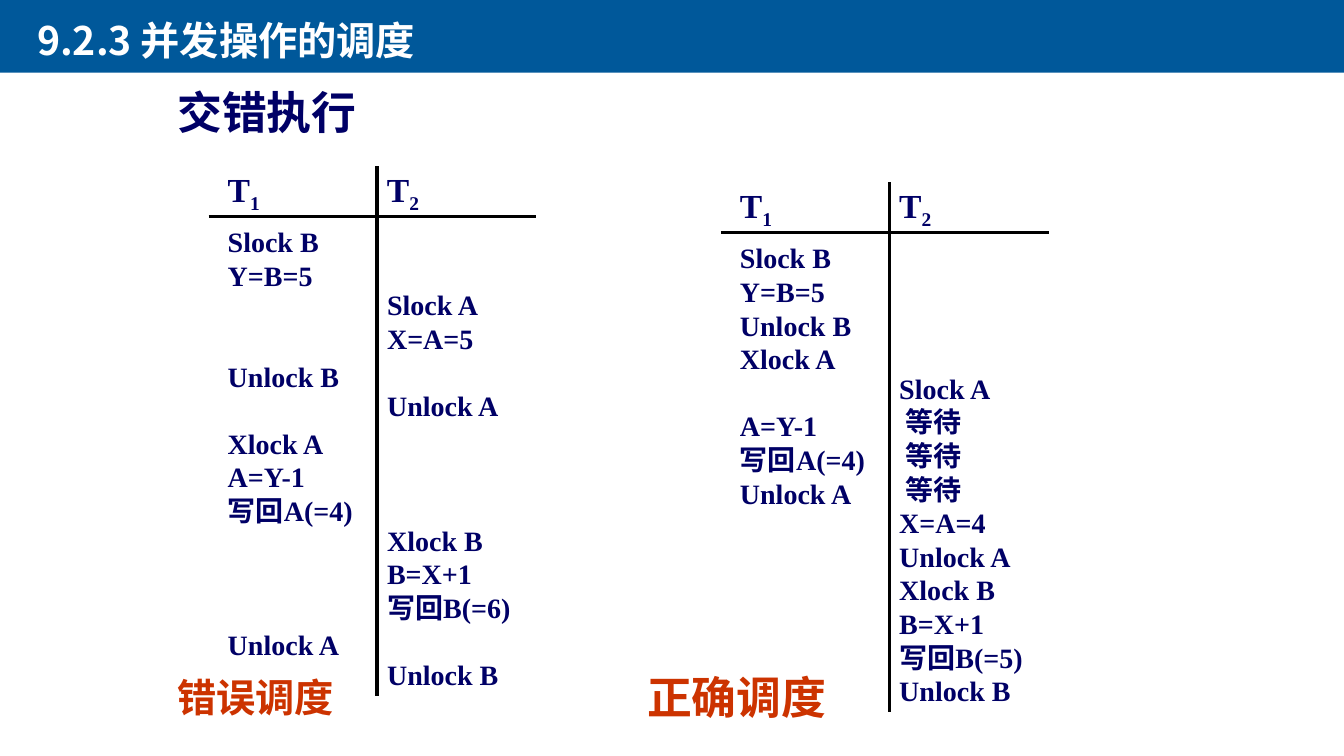
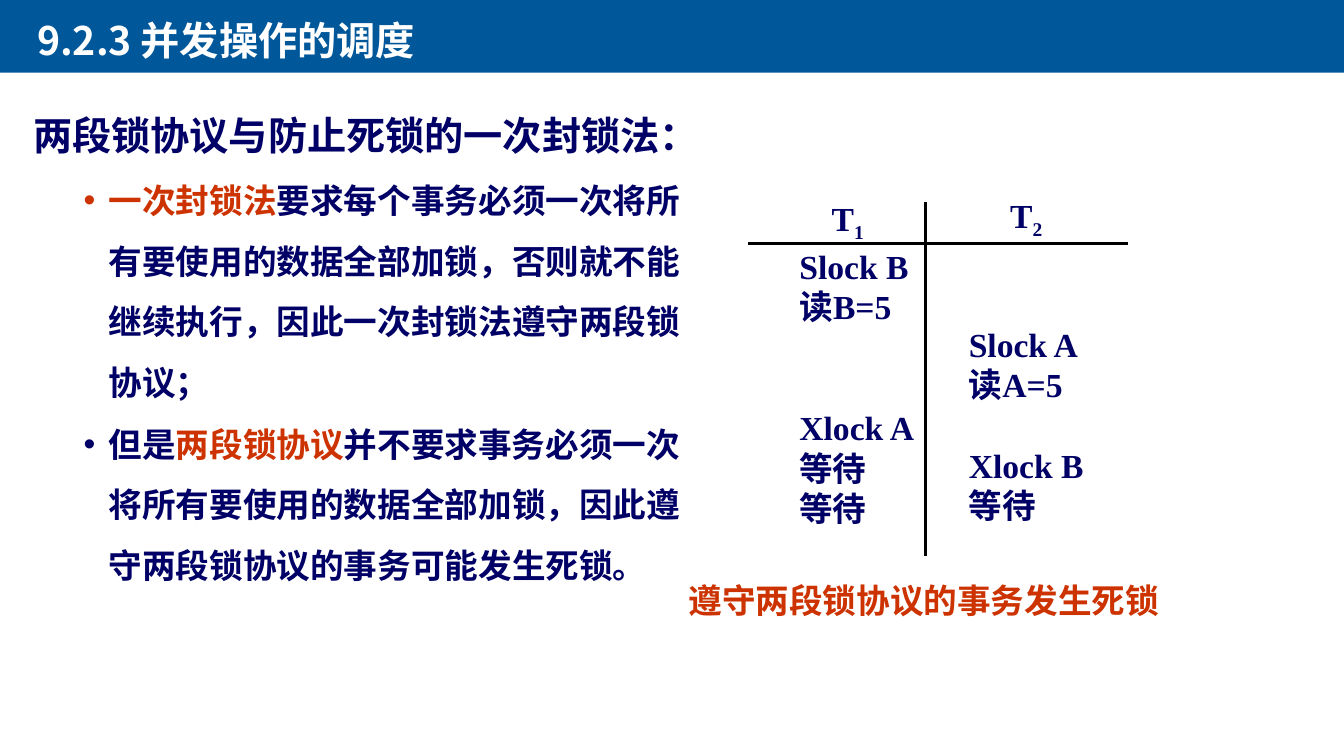
"""Two slides on scheduling concurrent transactions with locks."""
from lxml import etree
from pptx import Presentation
from pptx.dml.color import RGBColor
from pptx.enum.shapes import MSO_CONNECTOR as Conn, MSO_SHAPE as Shape
from pptx.enum.text import MSO_ANCHOR as Anchor
from pptx.oxml.ns import qn
from pptx.util import Inches, Pt

HUE = {"band": "00589A", "white": "FFFFFF", "navy": "000066", "red": "CC3300", "line": "000000"}
HAN, SERIF, SANS, LATO = "Noto Sans CJK SC", "Times New Roman", "Calibri", "Lato"
TITLE = "9.2.3 并发操作的调度"

WRONG = [
    ["Slock B", "Y=B=5", None, None, "Unlock B", None, "Xlock A", "A=Y-1", "写回A(=4)",
     None, None, None, "Unlock A"],
    [None, None, "Slock A", "X=A=5", None, "Unlock A", None, None, None,
     "Xlock B", "B=X+1", "写回B(=6)", None, "Unlock B"],
]
RIGHT = [
    ["Slock B", "Y=B=5", "Unlock B", "Xlock A", None, "A=Y-1", "写回A(=4)", "Unlock A"],
    [None, None, None, None, "Slock A", " 等待", " 等待", " 等待", "X=A=4",
     "Unlock A", "Xlock B", "B=X+1", "写回B(=5)", "Unlock B"],
]
DEAD = [
    ["Slock B", "读B=5", None, None, "Xlock A", "等待", "等待"],
    [None, None, "Slock A", "读A=5", None, "Xlock B", "等待"],
]
HEAD = "两段锁协议与防止死锁的一次封锁法："
POINTS = [
    [("一次封锁法", "red"),
     ("要求每个事务必须一次将所有要使用的数据全部加锁，否则就不能继续执行，因此一次封锁法遵守两段锁协议；", "navy")],
    [("但是", "navy"), ("两段锁协议", "red"),
     ("并不要求事务必须一次将所有要使用的数据全部加锁，因此遵守两段锁协议的事务可能发生死锁。", "navy")],
]


def tint(name):
    return RGBColor.from_string(HUE[name])


def write(frame, runs, size=20, font=SERIF, hue="navy", lead=None, gap=0, sub=None, dot=False):
    """Add one paragraph made of a string or of (text, hue) runs."""
    para = frame.paragraphs[0]
    if para.runs:
        para = frame.add_paragraph()
    para.space_before = Pt(gap)
    if lead:
        para.line_spacing = Pt(lead)
    if dot:
        props = para._p.get_or_add_pPr()
        props.set("marL", str(Inches(0.75)))
        props.set("indent", str(Inches(-0.25)))
        etree.SubElement(props, qn("a:buFont")).set("typeface", "Arial")
        etree.SubElement(props, qn("a:buChar")).set("char", "•")
    parts = [(runs, hue)] if isinstance(runs, str) else list(runs)
    if sub:
        parts.append((sub, hue))
    for words, shade in parts:
        run = para.add_run()
        run.text = words
        face = run.font
        face.size, face.bold, face.name = Pt(size), True, font
        face.color.rgb = tint(shade)
        props = run._r.get_or_add_rPr()
        etree.SubElement(props, qn("a:ea")).set("typeface", HAN)
    if sub:
        props.set("baseline", "-25000")


def box(slide, x, y, w, h, anchor=Anchor.TOP):
    frame = slide.shapes.add_textbox(*map(Inches, (x, y, w, h))).text_frame
    frame.word_wrap = True
    frame.vertical_anchor = anchor
    return frame


def rule(slide, *ends):
    line = slide.shapes.add_connector(Conn.STRAIGHT, *map(Inches, ends))
    line.line.color.rgb = tint("line")
    line.line.width = Pt(2.25)
    etree.SubElement(line._element.spPr, qn("a:effectLst"))


def column(slide, x, y, steps, size):
    """Place steps on a row grid, skipping the empty rows."""
    lead = size * 1.2
    rows = [(row, step) for row, step in enumerate(steps) if step]
    last = rows[0][0] - 1
    high = (len(steps) - last - 1) * lead / 72 + 0.1
    frame = box(slide, x, y + (last + 1) * lead / 72, 1.75, high)
    for row, step in rows:
        write(frame, step, size=size, lead=lead, gap=(row - last - 1) * lead)
        last = row


def grid(slide, plan, size, cross, heads, tops):
    """Draw the cross, its T1 and T2 heads and both columns."""
    left, right, mid, top, bar, foot = cross
    rule(slide, left, bar, right, bar)
    rule(slide, mid, top, mid, foot)
    for num, (steps, head, start) in enumerate(zip(plan, heads, tops), 1):
        write(box(slide, *head, 1, 0.5, Anchor.MIDDLE), "T", size=24, sub=str(num))
        column(slide, *start, steps, size)


def page(deck):
    slide = deck.slides.add_slide(deck.slide_layouts[6])
    band = slide.shapes.add_shape(Shape.RECTANGLE, *map(Inches, (0, -0.02, 13.33, 0.74)))
    band.shadow.inherit = False
    band.fill.solid()
    band.fill.fore_color.rgb = tint("band")
    band.line.fill.background()
    write(box(slide, 0.27, 0.11, 5.53, 0.57), TITLE, size=28, font=HAN, hue="white", lead=34)
    return slide


def mixed(deck):
    slide = page(deck)
    write(box(slide, 1.66, 0.82, 8.5, 0.67), "交错执行", size=32, font=SANS, lead=36)
    for plan, x, y in ((WRONG, 2.07, 1.65), (RIGHT, 7.15, 1.81)):
        one, two = x + 0.09, x + 1.67
        grid(slide, plan, 20, (x, x + 3.25, two, y, y + 0.5, y + 5.25),
             ((one, y), (two, y)), ((one, y + 0.53), (two, y + 0.49)))
    write(box(slide, 1.66, 6.65, 2.17, 0.75), "错误调度", size=28, font=SANS, hue="red", lead=32)
    write(box(slide, 6.32, 6.63, 2.17, 0.75), "正确调度", size=32, font=LATO, hue="red", lead=36)


def locked(deck):
    slide = page(deck)
    body = box(slide, 0.23, 0.83, 6.82, 5.28)
    write(body, HEAD, size=28, font=SANS, lead=50)
    for point in POINTS:
        write(body, point, size=24, font=SANS, lead=43.2, gap=1, dot=True)
    grid(slide, DEAD, 24, (7.42, 11.19, 9.18, 2, 2.42, 5.52),
         ((8.15, 1.94), (9.92, 1.91)), ((7.83, 2.39), (9.51, 2.36)))
    write(box(slide, 6.73, 5.7, 4.99, 0.5), "遵守两段锁协议的事务发生死锁",
          size=24, font=LATO, hue="red", lead=29)


def main():
    deck = Presentation()
    deck.slide_width, deck.slide_height = Inches(13.33), Inches(7.5)
    mixed(deck)
    locked(deck)
    deck.save("out.pptx")


if __name__ == "__main__":
    main()
